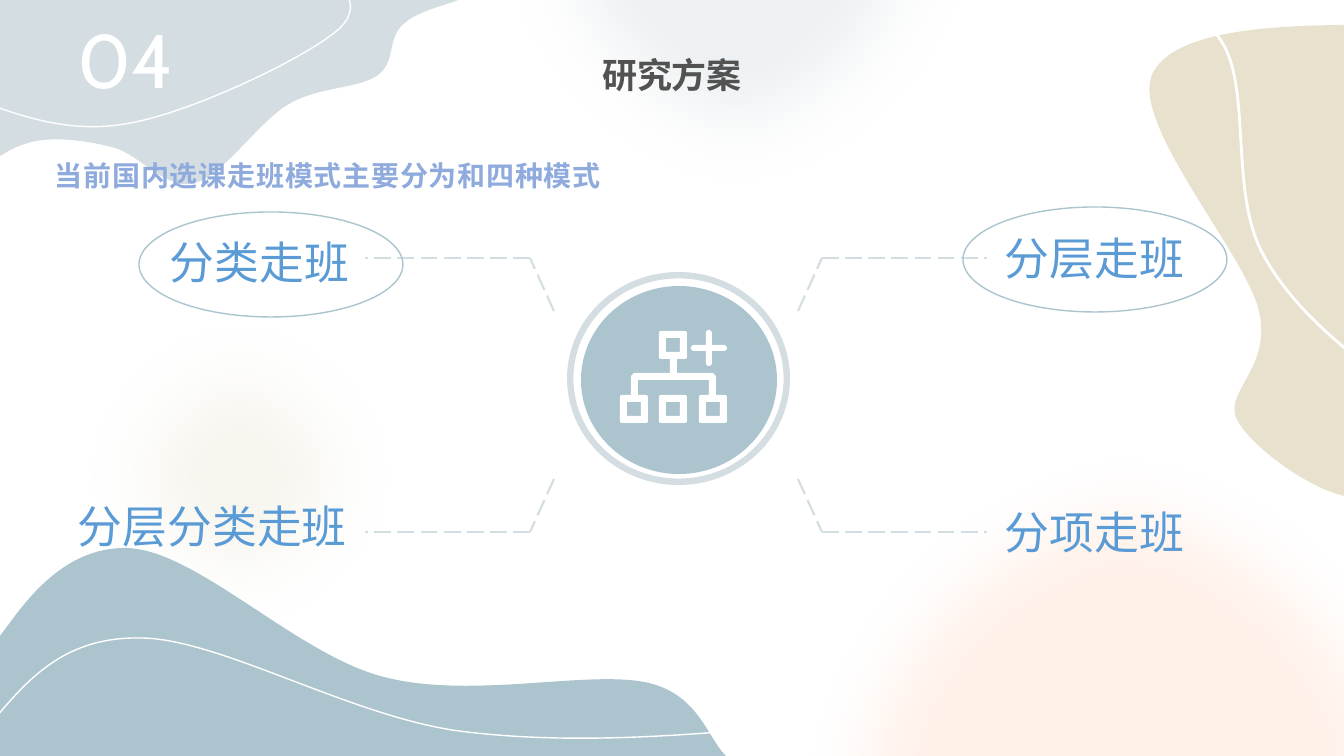
from dataclasses import dataclass

from lxml.etree import Element, SubElement
from pptx import Presentation
from pptx.dml.color import RGBColor
from pptx.enum.dml import MSO_LINE_DASH_STYLE as Dash
from pptx.enum.lang import MSO_LANGUAGE_ID as Language
from pptx.enum.shapes import MSO_CONNECTOR as Connector, MSO_SHAPE as Preset
from pptx.enum.text import MSO_ANCHOR as Anchor, MSO_AUTO_SIZE as AutoSize, PP_ALIGN as Align
from pptx.oxml import parse_xml
from pptx.oxml.ns import nsdecls, qn
from pptx.util import Pt


@dataclass(frozen=True)
class Theme:
    font: str = "Cabin"
    white: str = "FFFFFF"
    sand: str = "E7E1CD"
    mist: str = "D4DDE1"
    blue: str = "ACC4CE"
    peach: str = "FFB681"
    ink: str = "525252"
    heading: str = "8FAADC"
    label_stops: tuple = ((0, "1F4E79"), (50, "5B9BD5"), (100, "9DC3E6"))
    title_size: int = 25
    number_size: int = 54
    heading_size: int = 20
    label_size: int = 32


THEME = Theme()
EMU_PER_PX = 914400 / 100.8
SLIDE_SIZE = (1344, 756)
SOFT_EDGE = 635000

TITLE = ("研究方案", (414, 48, 516, 52))
NUMBER = ("04", (68, 8, 120, 102))
HEADING = ("当前国内选课走班模式主要分为和四种模式", (45, 137, 631, 55))
MODES = [
    ("分类走班", (160, 230, 410, 65)),
    ("分层走班", (995, 226, 378, 65)),
    ("分层分类走班", (68, 494, 336, 65)),
    ("分项走班", (995, 500, 344, 65)),
]
RINGS = [(139, 212, 264, 105), (963, 207, 264, 105)]
GLOWS = [
    ((61, 297, 356, 356), THEME.sand, 33),
    ((487, -296, 500, 500), THEME.mist, 41),
    ((787, 436, 680, 680), THEME.peach, 18),
]
BLOBS = [
    (THEME.sand, [(1344, 25), (1344, 496), (1337, 494), (1299, 482, 1252, 445, 1239, 423),
                  (1219, 394, 1273, 370, 1259, 311), (1245, 252, 1125, 118, 1154, 71),
                  (1175, 35, 1251, 26, 1340, 25)]),
    (THEME.blue, [(123, 548), (193, 546, 296, 655, 384, 677), (472, 700, 590, 669, 649, 683),
                  (698, 695, 707, 736, 725, 755), (728, 758), (0, 758), (0, 636), (15, 616),
                  (45, 576, 79, 549, 123, 548)]),
    (THEME.mist, [(0, 0), (458, 0), (453, 2), (434, 8, 415, 14, 406, 22),
                  (386, 36, 397, 61, 378, 75), (359, 89, 320, 86, 289, 104),
                  (259, 121, 224, 175, 195, 183), (166, 191, 140, 155, 115, 148),
                  (90, 141, 64, 138, 43, 140), (27, 142, 14, 147, 2, 155), (0, 156)]),
]
STROKES = [
    (1, [(-33, 96), (17, 115, 69, 135, 130, 123), (193, 112, 310, 56, 340, 28),
         (368, 0, 335, -23, 301, -46)]),
    (1, [(-8, 722), (28, 679, 65, 636, 142, 638), (220, 639, 350, 716, 459, 731),
         (568, 745, 679, 736, 792, 726)]),
    (2, [(1087, -25), (1139, -15, 1192, -4, 1222, 42), (1252, 90, 1229, 195, 1264, 256),
         (1298, 318, 1364, 365, 1429, 412)]),
]
HUB_DISC = (581, 286, 196, 188)
HUB_RING = (567, 272, 223, 213)
MIRROR = (676, 395)
ARM = [(798, 479), (822, 532), (987, 532)]
ICON_NODES = [(659, 331), (620, 395), (659, 395), (699, 395)]
NODE_SIZE, NODE_WALL, NODE_RADIUS = 28, 7, 4
ICON_TREE = [(670, 359), (677, 359), (677, 373), (713, 373), (716, 376), (716, 395), (709, 395),
             (709, 380), (638, 380), (638, 395), (631, 395), (631, 376), (634, 373), (670, 373)]
PLUS_CENTER, PLUS_REACH, PLUS_HALF = (709, 348), 18, 3


def emu(value):
    return round(value * EMU_PER_PX)


def color(code):
    return RGBColor.from_string(code)


def paint(shape, fill=None, line=None, width=1):
    shape.shadow.inherit = False
    for target, code in ((shape.fill, fill), (shape.line.fill, line)):
        if code:
            target.solid()
            target.fore_color.rgb = color(code)
        else:
            target.background()
    if line:
        shape.line.width = Pt(width)
    return shape


def bend(shape, segments):
    lines = list(shape.element.iter(qn("a:lnTo")))
    for line, segment in zip(lines, segments):
        if len(segment) == 2:
            continue
        line.tag = qn("a:cubicBezTo")
        for index in (0, 1):
            x, y = map(emu, segment[2 * index:2 * index + 2])
            line.insert(index, Element(qn("a:pt"), x=str(x - shape.left), y=str(y - shape.top)))


def add_outline(shapes, contours, closed=True, **style):
    anchors = [[tuple(map(emu, segment[-2:])) for segment in contour] for contour in contours]
    builder = shapes.build_freeform(*anchors[0][0])
    for index, contour in enumerate(anchors):
        if index:
            builder.move_to(*contour[0])
        builder.add_line_segments(contour[1:], close=closed)
    shape = builder.convert_to_shape()
    bend(shape, [segment for contour in contours for segment in contour[1:]])
    return paint(shape, **style)


def add_preset(shapes, preset, box, **style):
    return paint(shapes.add_shape(preset, *map(emu, box)), **style)


def add_glow(shapes, box, fill, opacity):
    shape = add_preset(shapes, Preset.OVAL, box, fill=fill)
    properties = shape.element.spPr
    tint = properties.find(qn("a:solidFill"))[0]
    SubElement(tint, qn("a:alpha"), val=str(opacity * 1000))
    SubElement(properties.find(qn("a:effectLst")), qn("a:softEdge"), rad=str(SOFT_EDGE))


def add_dash(shapes, start, end):
    line = shapes.add_connector(Connector.STRAIGHT, *map(emu, start + end))
    line.line.color.rgb = color(THEME.mist)
    line.line.width = Pt(1.5)
    line.line.dash_style = Dash.LONG_DASH
    SubElement(line.element.spPr, qn("a:effectLst"))


def write(shape, text, box, size, code=None, bold=False, wrap=True, anchor=Anchor.TOP, **layout):
    shape.left, shape.top, shape.width, shape.height = map(emu, box)
    frame = shape.text_frame
    frame_format = {"word_wrap": wrap, "auto_size": AutoSize.SHAPE_TO_FIT_TEXT,
                    "vertical_anchor": anchor}
    for name, value in frame_format.items():
        setattr(frame, name, value)
    paragraph = frame.paragraphs[0]
    for name, value in layout.items():
        setattr(paragraph, name, value)
    run = paragraph.add_run()
    run.text = text
    font_format = {"name": THEME.font, "size": Pt(size), "bold": bold,
                   "language_id": Language.SIMPLIFIED_CHINESE}
    for name, value in font_format.items():
        setattr(run.font, name, value)
    if code:
        run.font.color.rgb = color(code)
    properties = paragraph.runs[0].font._element
    SubElement(properties, qn("a:ea"), typeface=THEME.font)
    return properties


def gradient():
    stops = "".join(f'<a:gs pos="{place * 1000}"><a:srgbClr val="{code}"/></a:gs>'
                    for place, code in THEME.label_stops)
    return parse_xml(f'<a:gradFill {nsdecls("a")}><a:gsLst>{stops}</a:gsLst>'
                     '<a:lin ang="5400000" scaled="0"/></a:gradFill>')


def square(left, top, size):
    return [(left, top), (left + size, top), (left + size, top + size), (left, top + size)]


def rounded_square(left, top, size, radius):
    points = []
    turns = [(0, 1), (-1, 0), (0, -1), (1, 0)]
    for index, (x, y) in enumerate(square(left, top, size)):
        back, ahead = turns[index], turns[index - 1]
        onward = (-ahead[0], -ahead[1]) if index % 2 else (-ahead[0], -ahead[1])
        onward = (-turns[(index + 1) % 4][0] * -1, -turns[(index + 1) % 4][1] * -1)
        onward = (-onward[0], -onward[1])
        points.append((x + back[0] * radius, y + back[1] * radius))
        points.append((x, y, x, y, x + onward[0] * radius, y + onward[1] * radius))
    return points


def icon_contours():
    contours = [ICON_TREE]
    for left, top in ICON_NODES:
        contours.append(rounded_square(left, top, NODE_SIZE, NODE_RADIUS))
        contours.append(square(left + NODE_WALL, top + NODE_WALL, NODE_SIZE - 2 * NODE_WALL))
    x, y = PLUS_CENTER
    half, reach = PLUS_HALF, PLUS_REACH
    tip = [(half, -half), (reach - 2, -half), (reach, -1), (reach, 1), (reach - 2, half)]
    plus = []
    for cos, sin in ((1, 0), (0, 1), (-1, 0), (0, -1)):
        plus += [(x + a * cos - b * sin, y + a * sin + b * cos) for a, b in tip]
    return contours + [plus]


def main():
    presentation = Presentation()
    presentation.slide_width, presentation.slide_height = map(emu, SLIDE_SIZE)
    slide = presentation.slides.add_slide(presentation.slide_layouts[5])
    shapes = slide.shapes
    for glow in GLOWS:
        add_glow(shapes, *glow)
    for fill, segments in BLOBS:
        add_outline(shapes, [segments], fill=fill)
    for width, segments in STROKES:
        add_outline(shapes, [segments], closed=False, line=THEME.white, width=width)

    title = shapes.title
    title.element.getparent().append(title.element)
    write(title, *TITLE, THEME.title_size, THEME.ink, bold=True, anchor=Anchor.MIDDLE,
          alignment=Align.CENTER)
    write(shapes.add_textbox(0, 0, 0, 0), *NUMBER, THEME.number_size, THEME.white, wrap=False)

    add_preset(shapes, Preset.OVAL, HUB_DISC, fill=THEME.blue)
    add_preset(shapes, Preset.DONUT, HUB_RING, fill=THEME.mist).adjustments[0] = 0.03
    add_outline(shapes, icon_contours(), fill=THEME.white)
    for flip_x in (False, True):
        for flip_y in (False, True):
            arm = [(2 * MIRROR[0] - x if flip_x else x, 2 * MIRROR[1] - y if flip_y else y)
                   for x, y in ARM]
            for start, end in zip(arm, arm[1:]):
                add_dash(shapes, start, end)

    heading = write(shapes.add_textbox(0, 0, 0, 0), *HEADING, THEME.heading_size, THEME.heading,
                    bold=True, alignment=Align.JUSTIFY, line_spacing=1.5)
    heading.set("spc", "50")
    for text, box in MODES:
        label = write(shapes.add_textbox(0, 0, 0, 0), text, box, THEME.label_size)
        label.insert(0, gradient())
    for box in RINGS:
        add_preset(shapes, Preset.OVAL, box, line=THEME.blue)
    presentation.save("out.pptx")


if __name__ == "__main__":
    main()
